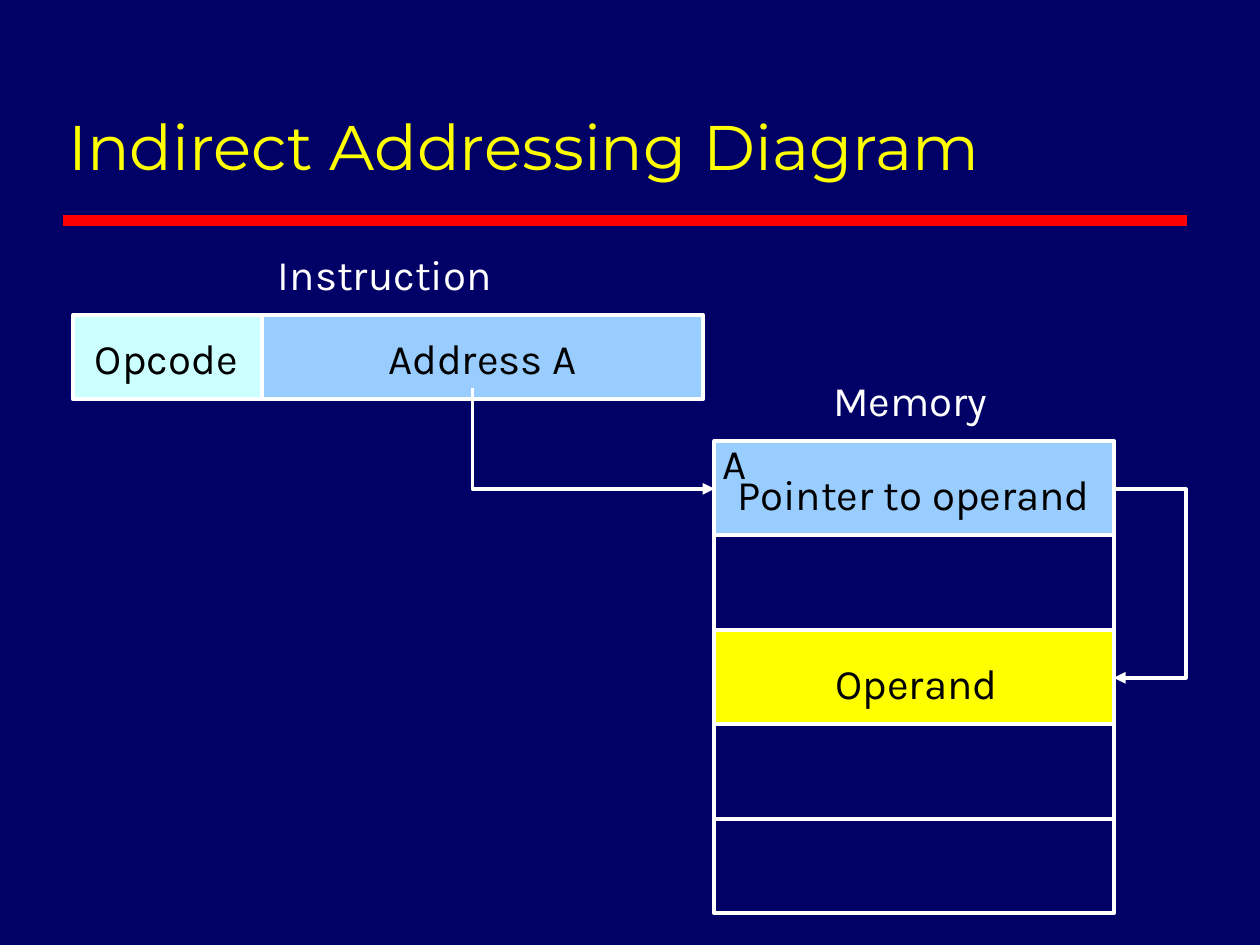
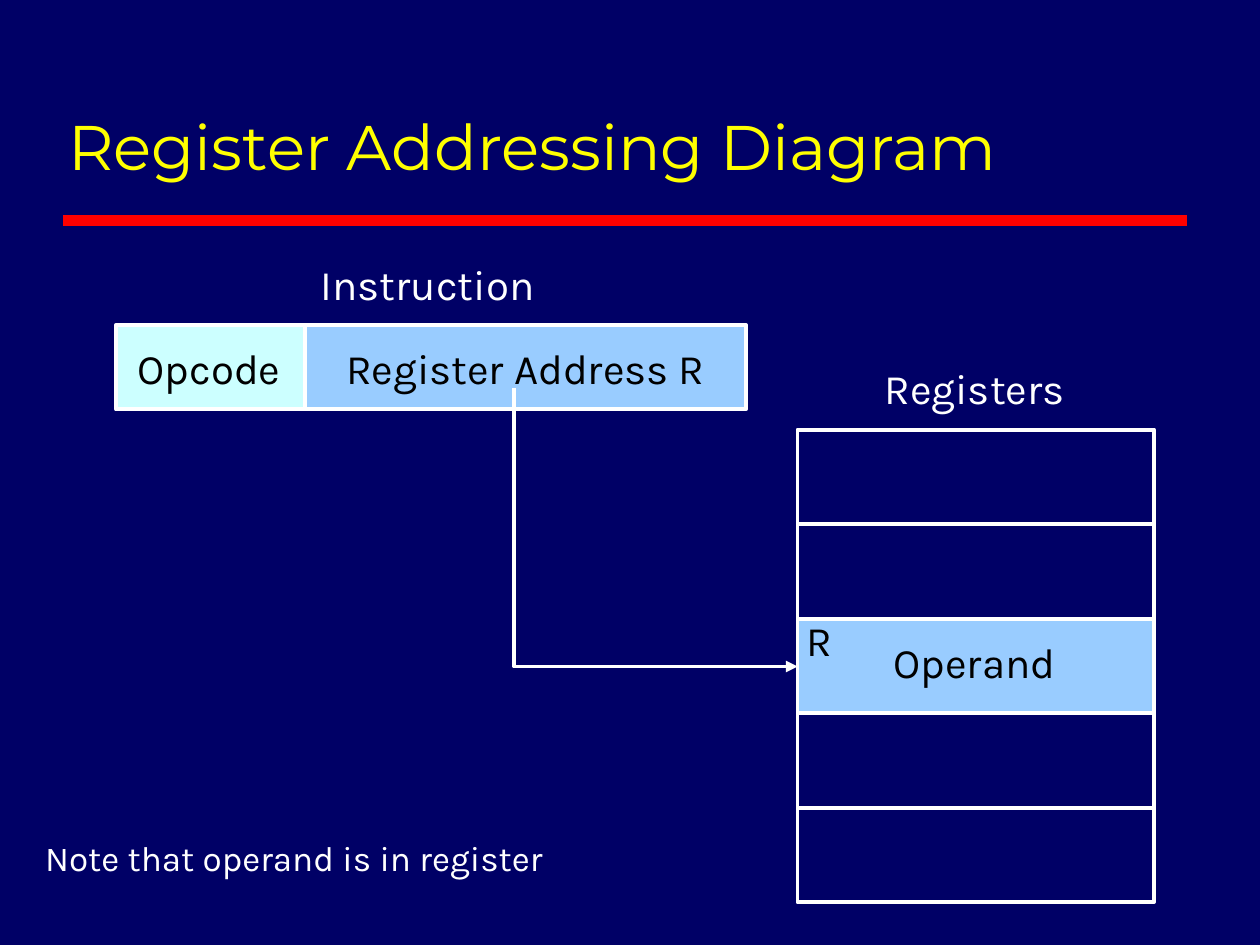
import dataclasses
import typing

import pptx
import pptx.dml.color
import pptx.enum.dml
import pptx.enum.shapes
import pptx.enum.text
import pptx.oxml
import pptx.oxml.ns
import pptx.slide
import pptx.util

Inches = pptx.util.Inches
Color = pptx.dml.color.RGBColor
Align = pptx.enum.text.PP_ALIGN

NAVY = Color(0x00, 0x00, 0x66)
RED = Color(0xFF, 0x00, 0x00)
YELLOW = Color(0xFF, 0xFF, 0x00)
SKY = Color(0x99, 0xCC, 0xFF)
AQUA = Color(0xCC, 0xFF, 0xFF)
WHITE = Color(0xFF, 0xFF, 0xFF)
BLACK = Color(0x00, 0x00, 0x00)

HEAD_FONT = {"name": "Montserrat", "size": pptx.util.Pt(36), "bold": False}
BODY_FONT = {"name": "Karla", "size": pptx.util.Pt(24)}
FRAME = {
    "margin_left": Inches(0.1),
    "margin_right": Inches(0.1),
    "margin_top": Inches(0.05),
    "margin_bottom": Inches(0.05),
}
STROKE = pptx.util.Pt(2.25)
OPCODE_WIDTH, FIELD_WIDTH, STRIP_HEIGHT = 1.5, 3.5, 0.67
CELL_HEIGHT, CELL_COUNT = 0.75, 5

Point = tuple[float, float]


@dataclasses.dataclass(frozen=True)
class Box:
    left: float
    top: float
    width: float
    height: float
    fill: typing.Optional[Color] = None


@dataclasses.dataclass(frozen=True)
class Label:
    text: str
    left: float
    top: float
    width: float
    ink: Color = BLACK
    size: float = 24
    height: float = 0.5
    align: Align = Align.CENTER


@dataclasses.dataclass(frozen=True)
class Strip:
    left: float
    top: float
    field: str
    field_width: float


@dataclasses.dataclass(frozen=True)
class Stack:
    left: float
    top: float
    width: float
    fills: dict[int, Color]


@dataclasses.dataclass(frozen=True)
class Sheet:
    title: str
    strip: Strip
    stack: Stack
    arrows: list[list[Point]]
    labels: list[Label]


SHEETS = [
    Sheet(
        "Indirect Addressing Diagram",
        Strip(0.58, 2.5, "Address A", 1.77),
        Stack(5.67, 3.5, 3.17, {0: SKY, 2: YELLOW}),
        [
            [(3.75, 3.08), (3.75, 3.88), (5.67, 3.88)],
            [(8.83, 3.88), (9.41, 3.88), (9.41, 5.38), (8.84, 5.38)],
        ],
        [
            Label("Memory", 6.47, 2.92, 1.51, WHITE),
            Label("Operand", 6.48, 5.17, 1.59),
            Label("Pointer to operand", 5.75, 3.67, 3, height=0.9),
            Label("A", 5.58, 3.42, 0.5),
        ],
    ),
    Sheet(
        "Register Addressing Diagram",
        Strip(0.92, 2.58, "Register Address R", 3.14),
        Stack(6.33, 3.41, 2.83, {2: SKY}),
        [[(4.08, 3.08), (4.08, 5.29), (6.33, 5.29)]],
        [
            Label("Registers", 6.91, 2.83, 1.65, WHITE),
            Label("Operand", 6.94, 5, 1.59),
            Label("R", 6.25, 4.83, 0.5),
            Label("Note that operand is in register", 0.26, 6.59, 4.31,
                  WHITE, 20, 0.44, Align.LEFT),
        ],
    ),
]


def apply(target: typing.Any, values: dict[str, typing.Any]) -> None:
    for name, value in values.items():
        setattr(target, name, value)


def draw_title(slide: pptx.slide.Slide, text: str) -> None:
    title = slide.shapes.title
    apply(title, {"left": Inches(0.44), "top": Inches(0.25),
                  "width": Inches(8.97), "height": Inches(1.25)})
    title.text = text
    apply(title.text_frame, FRAME | {
        "word_wrap": True,
        "vertical_anchor": pptx.enum.text.MSO_ANCHOR.BOTTOM,
        "auto_size": pptx.enum.text.MSO_AUTO_SIZE.NONE,
    })
    line = title.text_frame.paragraphs[0]
    line.alignment = Align.LEFT
    apply(line.font, HEAD_FONT)
    line.font.color.rgb = YELLOW


def draw_rule(slide: pptx.slide.Slide) -> None:
    rule = slide.shapes.add_connector(
        pptx.enum.shapes.MSO_CONNECTOR.STRAIGHT,
        Inches(0.5), Inches(1.75), Inches(9.42), Inches(1.75))
    rule.line.color.rgb = RED
    rule.line.width = pptx.util.Pt(6)
    rule.element.spPr.append(pptx.oxml.parse_xml(
        f"<a:effectLst {pptx.oxml.ns.nsdecls('a')}/>"))


def outline(shape: typing.Any, fill: typing.Optional[Color]) -> None:
    shape.shadow.inherit = False
    if fill is None:
        shape.fill.background()
    else:
        shape.fill.solid()
        shape.fill.fore_color.rgb = fill
    shape.line.color.rgb = WHITE
    shape.line.width = STROKE


def draw_box(slide: pptx.slide.Slide, box: Box) -> None:
    shape = slide.shapes.add_shape(
        pptx.enum.shapes.MSO_SHAPE.RECTANGLE, Inches(box.left),
        Inches(box.top), Inches(box.width), Inches(box.height))
    outline(shape, box.fill)


def draw_label(slide: pptx.slide.Slide, label: Label) -> None:
    shape = slide.shapes.add_textbox(
        Inches(label.left), Inches(label.top),
        Inches(label.width), Inches(label.height))
    frame = shape.text_frame
    apply(frame, FRAME | {
        "word_wrap": False,
        "auto_size": pptx.enum.text.MSO_AUTO_SIZE.SHAPE_TO_FIT_TEXT,
    })
    line = frame.paragraphs[0]
    line.text = label.text
    line.alignment = label.align
    apply(line.font, BODY_FONT | {"size": pptx.util.Pt(label.size)})
    line.font.color.rgb = label.ink


def draw_arrow(slide: pptx.slide.Slide, points: list[Point]) -> None:
    start, *rest = [(Inches(x), Inches(y)) for x, y in points]
    pen = slide.shapes.build_freeform(*start)
    pen.add_line_segments(rest, close=False)
    shape = pen.convert_to_shape()
    outline(shape, None)
    stroke = shape.element.spPr.find(pptx.oxml.ns.qn("a:ln"))
    stroke.append(pptx.oxml.parse_xml(
        f"<a:tailEnd {pptx.oxml.ns.nsdecls('a')} type='triangle'/>"))


def draw_strip(slide: pptx.slide.Slide, strip: Strip) -> list[Label]:
    field_left = strip.left + OPCODE_WIDTH
    draw_box(slide, Box(field_left, strip.top, FIELD_WIDTH, STRIP_HEIGHT, SKY))
    draw_box(slide, Box(strip.left, strip.top, OPCODE_WIDTH, STRIP_HEIGHT, AQUA))
    text_left = field_left + (FIELD_WIDTH - strip.field_width) / 2
    text_top = strip.top + 0.09
    return [
        Label("Instruction", strip.left + 1.52, strip.top - 0.58, 1.91, WHITE),
        Label(strip.field, text_left, text_top, strip.field_width),
        Label("Opcode", strip.left + 0.03, text_top, 1.42),
    ]


def draw_stack(slide: pptx.slide.Slide, stack: Stack) -> None:
    for row in range(CELL_COUNT):
        draw_box(slide, Box(stack.left, stack.top + row * CELL_HEIGHT,
                            stack.width, CELL_HEIGHT, stack.fills.get(row)))


def draw_sheet(deck: typing.Any, sheet: Sheet) -> None:
    slide = deck.slides.add_slide(deck.slide_layouts[5])
    draw_title(slide, sheet.title)
    draw_rule(slide)
    captions = draw_strip(slide, sheet.strip)
    draw_stack(slide, sheet.stack)
    for points in sheet.arrows:
        draw_arrow(slide, points)
    for label in captions + sheet.labels:
        draw_label(slide, label)


def main() -> None:
    deck = pptx.Presentation()
    apply(deck, {"slide_width": Inches(10), "slide_height": Inches(7.5)})
    back = deck.slide_master.background.fill
    back.solid()
    back.fore_color.rgb = NAVY
    for sheet in SHEETS:
        draw_sheet(deck, sheet)
    deck.save("out.pptx")


if __name__ == "__main__":
    main()
